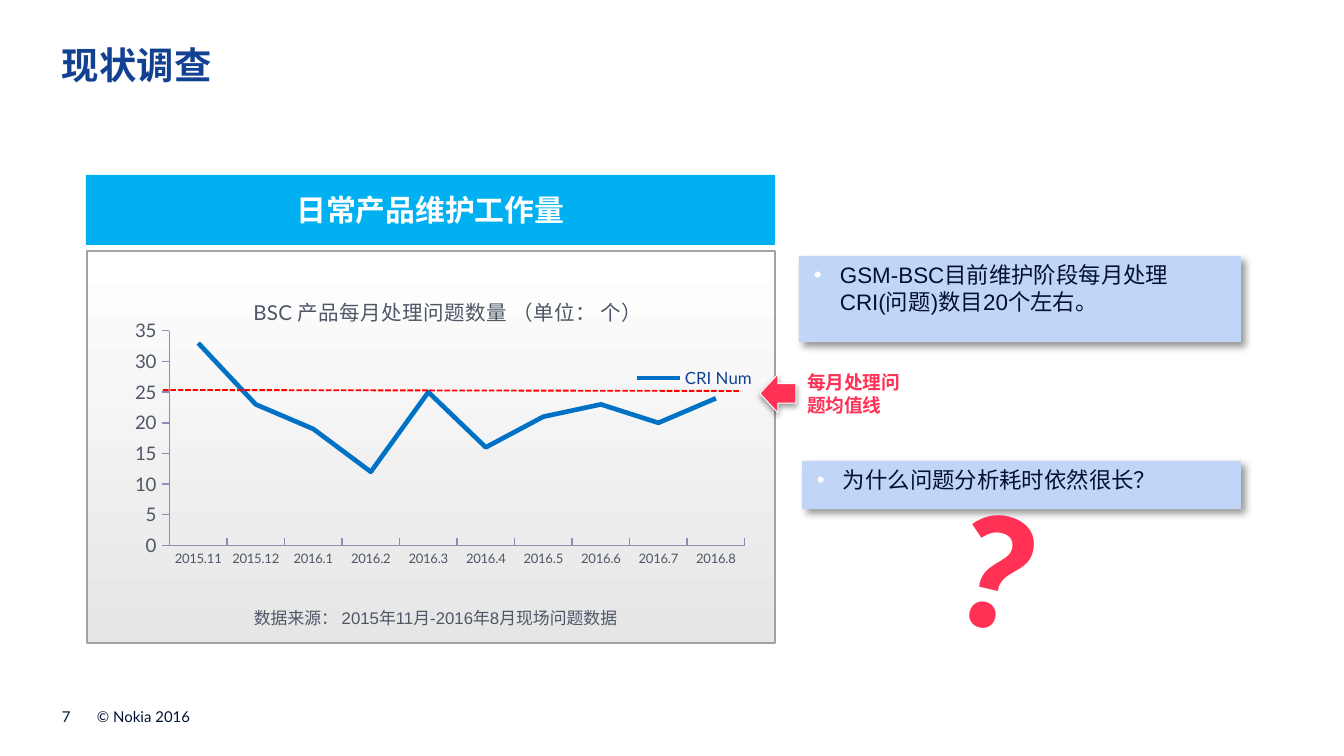
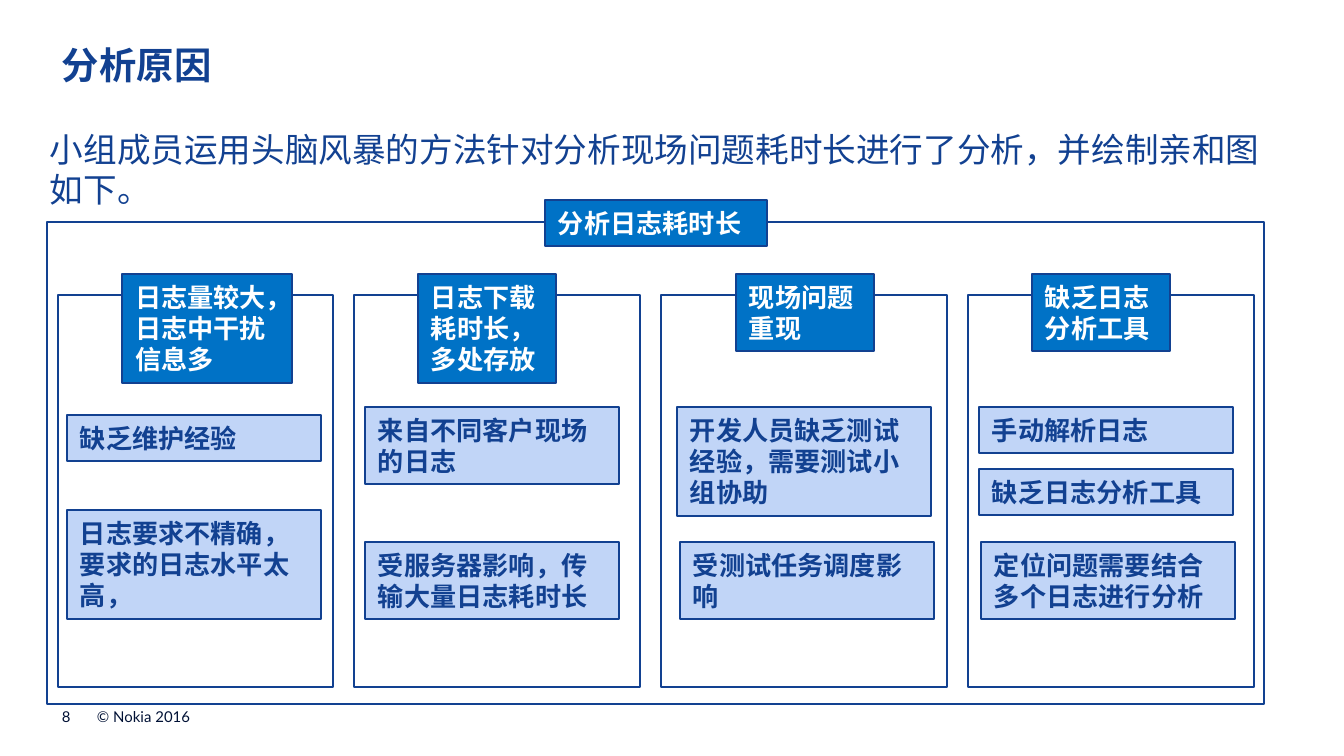
import pptx
import pptx.util
import pptx.chart.data
import pptx.dml.color
import pptx.enum.chart
import pptx.enum.dml
import pptx.enum.shapes
import pptx.enum.text
import pptx.oxml
import pptx.oxml.ns

PX = 914400 / 134.4
RGB = pptx.dml.color.RGBColor
NAVY = RGB(0x12, 0x41, 0x91)
INK = RGB(0x00, 0x11, 0x35)
SLATE = RGB(0x4D, 0x57, 0x66)
BLUE = RGB(0x00, 0x72, 0xC6)
SKY = RGB(0x00, 0xB0, 0xF0)
PALE = RGB(0xC1, 0xD5, 0xF7)
PINK = RGB(0xFF, 0x31, 0x54)
RED = RGB(0xFF, 0x00, 0x00)
WHITE = RGB(0xFF, 0xFF, 0xFF)
SILVER = RGB(0xE6, 0xE6, 0xE6)
GREY = RGB(0xA0, 0xA2, 0xA4)
AXIS = RGB(0x8A, 0x8F, 0xB8)

Pt = pptx.util.Pt
SHAPES = pptx.enum.shapes.MSO_SHAPE
ALIGN = pptx.enum.text.PP_ALIGN
ANCHOR = pptx.enum.text.MSO_ANCHOR
DRAWING = pptx.oxml.ns.nsdecls("a")
INSETS = (13, 7, 13, 7)
NO_INSETS = (0, 0, 0, 0)


def add_block(slide, box, text="", size=14, color=NAVY, font="Arial", bold=False, fill=None, line=None,
              line_width=0.75, insets=INSETS, align=ALIGN.LEFT, anchor=ANCHOR.TOP, preset=SHAPES.RECTANGLE):
    box = [round(length * PX) for length in box]
    if fill is None and line is None:
        block = slide.shapes.add_textbox(*box)
    else:
        block = slide.shapes.add_shape(preset, *box)
        block.shadow.inherit = False
        if fill is None:
            block.fill.background()
        else:
            block.fill.solid()
            block.fill.fore_color.rgb = fill
        if line is None:
            block.line.fill.background()
        else:
            block.line.color.rgb = line
            block.line.width = Pt(line_width)
    if text:
        frame = block.text_frame
        frame.word_wrap = True
        frame.vertical_anchor = anchor
        frame.margin_left, frame.margin_top, frame.margin_right, frame.margin_bottom = [
            round(inset * PX) for inset in insets]
        frame.text = text
        paragraph = frame.paragraphs[0]
        paragraph.alignment = align
        run_font = paragraph.runs[0].font
        run_font.name, run_font.size, run_font.bold = font, Pt(size), bold
        run_font.color.rgb = color
    return block


def add_shadow(block, alpha, blur, distance, angle):
    effects = block._element.spPr.find(pptx.oxml.ns.qn("a:effectLst"))
    effects.append(pptx.oxml.parse_xml(
        f'<a:outerShdw {DRAWING} blurRad="{Pt(blur)}" dist="{Pt(distance)}" dir="{angle * 60000}" rotWithShape="0">'
        f'<a:srgbClr val="000000"><a:alpha val="{alpha * 1000}"/></a:srgbClr></a:outerShdw>'))


deck = pptx.Presentation()
deck.slide_width = round(1344 * PX)
deck.slide_height = round(756 * PX)

slides = []
for number, title in [(7, "现状调查"), (8, "分析原因")]:
    slide = deck.slides.add_slide(deck.slide_layouts[6])
    for left, width, text in [(62, 22, str(number)), (97, 265, "© Nokia 2016")]:
        add_block(slide, (left, 708, width, 18), text, 8, INK, "Lato", insets=NO_INSETS, anchor=ANCHOR.BOTTOM)
    add_block(slide, (62, 42, 1222, 46), title, 20, NAVY, "Roboto", True, insets=NO_INSETS)
    slides.append(slide)
survey, causes = slides

chart_panel = add_block(survey, (87, 251, 688, 392), fill=WHITE, line=GREY)
chart_panel.fill.gradient()
chart_panel.fill.gradient_angle = 90
for stop, color, position in zip(chart_panel.fill.gradient_stops, (SILVER, WHITE), (0, 1)):
    stop.color.rgb = color
    stop.position = position
add_block(survey, (86, 175, 689, 70), "日常产品维护工作量", 16, WHITE, "Lato", True, SKY,
          align=ALIGN.CENTER, anchor=ANCHOR.MIDDLE)

issues = pptx.chart.data.CategoryChartData()
issues.categories = ["2015.11", "2015.12"] + [f"2016.{month}" for month in range(1, 9)]
issues.add_series("CRI Num", (33, 23, 19, 12, 25, 16, 21, 23, 20, 24))
chart = survey.shapes.add_chart(pptx.enum.chart.XL_CHART_TYPE.LINE_STACKED,
                                *[round(length * PX) for length in (116, 269, 669, 364)], issues).chart
chart.font.name, chart.font.size = "Lato", Pt(10)
chart.font.color.rgb = NAVY
chart.has_title = True
chart.chart_title.text_frame.text = "BSC 产品每月处理问题数量 （单位： 个）"
heading_font = chart.chart_title.text_frame.paragraphs[0].runs[0].font
heading_font.name, heading_font.size, heading_font.bold = "Lato", Pt(11), False
heading_font.color.rgb = SLATE
chart.has_legend = True
chart.legend.position = pptx.enum.chart.XL_LEGEND_POSITION.RIGHT
chart.legend.include_in_layout = False
chart.legend.font.name, chart.legend.font.size = "Lato", Pt(9)
chart.legend.font.color.rgb = NAVY

TICK = pptx.enum.chart.XL_TICK_MARK
for axis, size, tick in [(chart.category_axis, 7, TICK.INSIDE), (chart.value_axis, 10, TICK.OUTSIDE)]:
    axis.has_major_gridlines = False
    axis.major_tick_mark = tick
    axis.minor_tick_mark = TICK.NONE
    axis.format.line.color.rgb = AXIS
    axis.tick_labels.font.name, axis.tick_labels.font.size = "Lato", Pt(size)
    axis.tick_labels.font.color.rgb = SLATE
chart.value_axis.minimum_scale = 0
chart.value_axis.maximum_scale = 35
chart.value_axis.major_unit = 5

plot = chart.plots[0]
plot.vary_by_categories = False
trend = plot.series[0]
trend.smooth = False
trend.marker.style = pptx.enum.chart.XL_MARKER_STYLE.NONE
trend.format.line.color.rgb = BLUE
trend.format.line.width = Pt(2.5)

for tag, target, places in [("c:title", "", {"x": 0.2, "y": 0.06}),
                            ("c:plotArea", "inner", {"x": 0.08, "y": 0.17, "w": 0.86, "h": 0.59}),
                            ("c:legend", "", {"x": 0.77, "y": 0.26, "w": 0.19, "h": 0.08})]:
    part = chart._chartSpace.chart.find(pptx.oxml.ns.qn(tag))
    for automatic in part.findall(pptx.oxml.ns.qn("c:layout")):
        part.remove(automatic)
    inner = f'<c:layoutTarget val="{target}"/>' if target else ""
    modes = "".join(f'<c:{key}Mode val="edge"/>' for key in "xy")
    values = "".join(f'<c:{key} val="{value}"/>' for key, value in places.items())
    layout = pptx.oxml.parse_xml(f'<c:layout {pptx.oxml.ns.nsdecls("c")}><c:manualLayout>'
                                 f'{inner}{modes}{values}</c:manualLayout></c:layout>')
    part.insert(0 if target else 1, layout)

average = survey.shapes.add_connector(pptx.enum.shapes.MSO_CONNECTOR.STRAIGHT,
                                      *[round(length * PX) for length in (163, 390, 741, 391)])
average.line.color.rgb = RED
average.line.width = Pt(1)
average.line.dash_style = pptx.enum.dml.MSO_LINE.SQUARE_DOT
average._element.spPr.append(pptx.oxml.parse_xml(f"<a:effectLst {DRAWING}/>"))

for box, text in [((799, 256, 442, 86), "GSM-BSC目前维护阶段每月处理CRI(问题)数目20个左右。"),
                  ((802, 461, 439, 48), "为什么问题分析耗时依然很长？")]:
    note = add_block(survey, box, text, 12, INK, fill=PALE, insets=(5, 5, 27, 0))
    add_shadow(note, 40, 4, 3, 45)
    paragraph = note.text_frame.paragraphs[0]
    properties = paragraph._p.get_or_add_pPr()
    properties.set("marL", str(round(36 * PX)))
    properties.set("indent", str(round(-26 * PX)))
    for bullet in ('<a:buClr {}><a:srgbClr val="FFFFFF"/></a:buClr>', '<a:buFont {} typeface="Arial"/>',
                   '<a:buChar {} char="•"/>'):
        properties.append(pptx.oxml.parse_xml(bullet.format(DRAWING)))
    paragraph.space_after = Pt(6)

pointer = add_block(survey, (760, 374, 36, 39), fill=PINK, line=WHITE, line_width=0.5, preset=SHAPES.LEFT_ARROW)
add_shadow(pointer, 38, 3.1, 1.6, 90)
question = add_block(survey, (947, 472, 128, 203), "？", 80, PINK, "Lato", True, insets=(11, 11, 11, 11))
question.rotation = 13.3
add_block(survey, (794, 364, 130, 59), "每月处理问题均值线", 10, PINK, "Noto Sans CJK SC", True)
add_block(survey, (243, 598, 552, 42), "数据来源： 2015年11月-2016年8月现场问题数据", 9, SLATE, insets=(11, 11, 11, 11))

add_block(causes, (37, 122, 1262, 90), "小组成员运用头脑风暴的方法针对分析现场问题耗时长进行了分析，并绘制亲和图如下。",
          18, NAVY, "Lato")
add_block(causes, (47, 222, 1217, 482), line=NAVY)
add_block(causes, (545, 200, 222, 46), "分析日志耗时长", 14, WHITE, "Roboto", True, BLUE, NAVY)

HEIGHTS = {1: 46, 2: 77, 3: 109}
groups = [
    (58, 275, 122, 170, 3, "日志量较大，日志中干扰信息多",
     [(67, 415, 1, "缺乏维护经验"), (67, 510, 3, "日志要求不精确，要求的日志水平太高，")]),
    (354, 286, 418, 138, 3, "日志下载耗时长，多处存放",
     [(365, 407, 2, "来自不同客户现场的日志"), (365, 542, 2, "受服务器影响，传输大量日志耗时长")]),
    (661, 286, 736, 138, 2, "现场问题重现",
     [(677, 407, 3, "开发人员缺乏测试经验，需要测试小组协助"), (680, 542, 2, "受测试任务调度影响")]),
    (968, 286, 1032, 138, 2, "缺乏日志分析工具",
     [(979, 407, 1, "手动解析日志"), (979, 469, 1, "缺乏日志分析工具"),
      (981, 542, 2, "定位问题需要结合多个日志进行分析")]),
]
for left, width, topic_left, topic_width, topic_rows, topic, cards in groups:
    add_block(causes, (left, 295, width, 392), line=NAVY)
    add_block(causes, (topic_left, 274, topic_width, HEIGHTS[topic_rows]), topic, 14, WHITE,
              bold=True, fill=BLUE, line=NAVY)
    for card_left, top, rows, cause in cards:
        add_block(causes, (card_left, top, 254, HEIGHTS[rows]), cause, 14, NAVY, bold=True, fill=PALE, line=NAVY)

deck.save("out.pptx")
